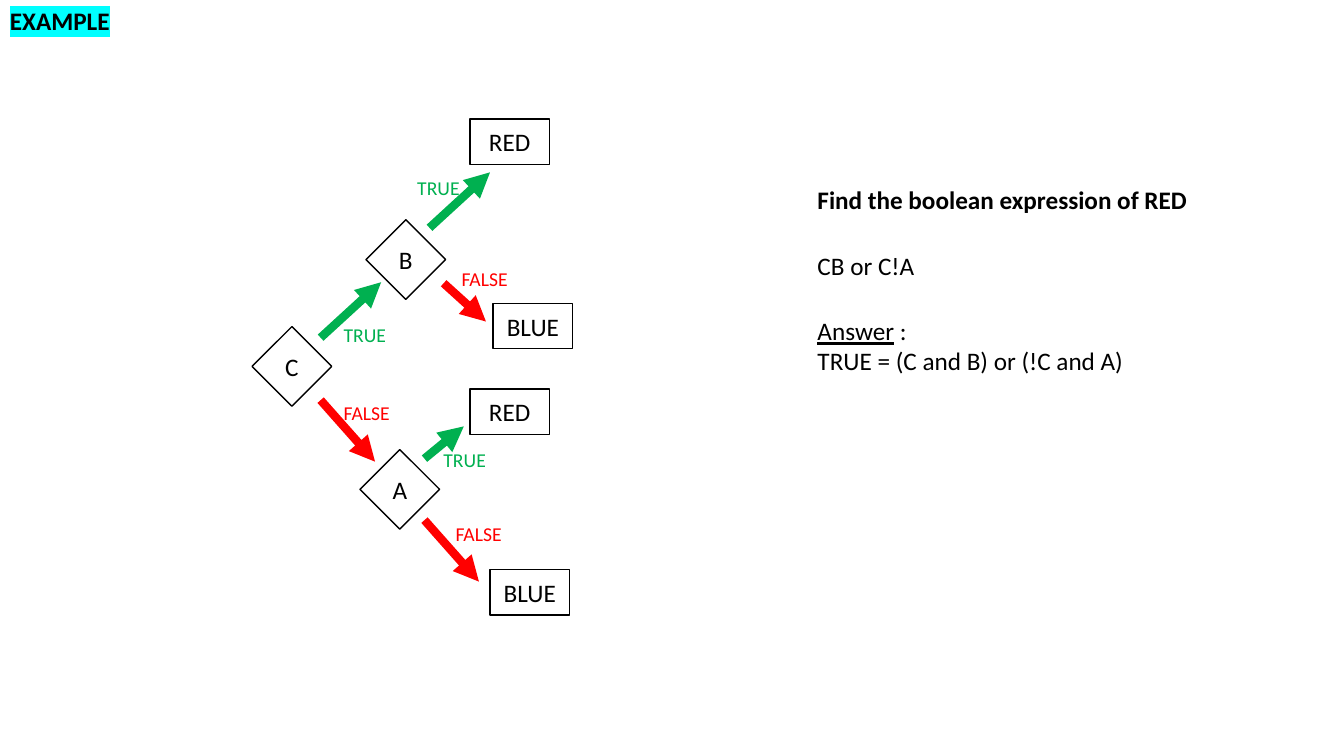
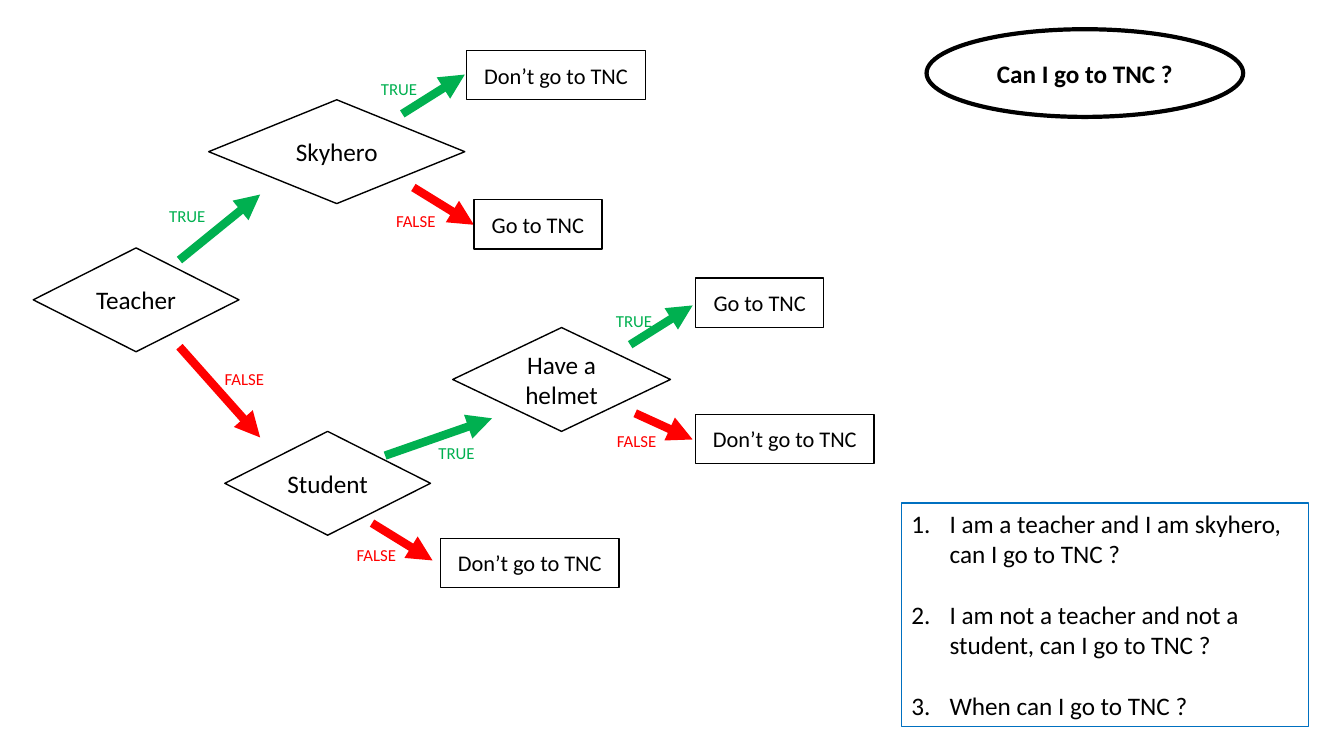
import pptx
import pptx.util
import pptx.dml.color
import pptx.enum.shapes
import pptx.enum.text
import pptx.oxml
import pptx.oxml.ns

PX = 9144
FONT = "Calibri"
BLACK = pptx.dml.color.RGBColor(0, 0, 0)
WHITE = pptx.dml.color.RGBColor(255, 255, 255)
GREEN = pptx.dml.color.RGBColor(0, 176, 80)
RED = pptx.dml.color.RGBColor(255, 0, 0)
BLUE = pptx.dml.color.RGBColor(0, 112, 192)
ANSWER_COLORS = {"TRUE": GREEN, "FALSE": RED}
SHAPES = pptx.enum.shapes.MSO_SHAPE
ALIGN = pptx.enum.text.PP_ALIGN
ANCHOR = pptx.enum.text.MSO_ANCHOR
DRAWING = pptx.oxml.ns.nsdecls("a")


def write_text(box, lines, frame_format, align=ALIGN.LEFT, color=BLACK, size=18, bold=False):
    frame = box.text_frame
    for name, value in frame_format.items():
        setattr(frame, name, value)
    for number, line in enumerate(lines):
        para = frame.add_paragraph() if number else frame.paragraphs[0]
        para.alignment = align
        for text in line:
            span = para.add_run()
            span.text = text
            span.font.color.rgb = color
            font_format = {"name": FONT, "size": pptx.util.Pt(size), "bold": bold}
            for name, value in font_format.items():
                setattr(span.font, name, value)
    return frame.paragraphs


def add_outline(page, kind, place, line_color=BLACK, weight=1):
    box = page.shapes.add_shape(kind, *[length * PX for length in place])
    box.shadow.inherit = False
    box.fill.background()
    box.line.color.rgb = line_color
    box.line.width = pptx.util.Pt(weight)
    return box


CENTERED = {"word_wrap": True, "vertical_anchor": ANCHOR.MIDDLE}
LOOSE = {"word_wrap": False, "auto_size": pptx.enum.text.MSO_AUTO_SIZE.SHAPE_TO_FIT_TEXT}

boolean_tree = {
    "decision": SHAPES.FLOWCHART_DECISION,
    "decision_height": 79,
    "result_height": 45,
    "result_size": 18,
    "label_size": 14,
    "label_height": 34,
    "label_widths": {"TRUE": 63, "FALSE": 66},
    "result_widths": {"RED": 79, "BLUE": 79},
    "decisions": [("C", 250, 324, 79), ("A", 357, 446, 79), ("B", 363, 218, 79)],
    "results": [("BLUE", 486, 565), ("RED", 466, 118), ("BLUE", 489, 301), ("RED", 466, 386)],
    "branches": [
        ("FALSE", (318, 397, 372, 458), (331, 393)),
        ("TRUE", (318, 335, 378, 280), (331, 315)),
        ("FALSE", (440, 281, 482, 319), (448, 260)),
        ("TRUE", (426, 226, 486, 171), (404, 170)),
        ("FALSE", (421, 516, 475, 577), (442, 513)),
        ("TRUE", (421, 455, 460, 423), (430, 439)),
    ],
}
visit_tree = {
    "decision": SHAPES.DIAMOND,
    "decision_height": 103,
    "result_height": 49,
    "result_size": 16,
    "label_size": 12,
    "label_height": 30,
    "label_widths": {"TRUE": 57, "FALSE": 60},
    "result_widths": {"Go to TNC": 127, "Don’t go to TNC": 177},
    "decisions": [
        ("Skyhero", 207, 99, 254),
        ("Teacher", 33, 246, 204),
        ("Student", 223, 428, 204),
        ("Have a helmet", 449, 325, 216),
    ],
    "results": [
        ("Go to TNC", 690, 276),
        ("Don’t go to TNC", 690, 411),
        ("Go to TNC", 470, 198),
        ("Don’t go to TNC", 463, 50),
        ("Don’t go to TNC", 437, 534),
    ],
    "branches": [
        ("FALSE", (178, 344, 258, 434), (213, 361)),
        ("TRUE", (178, 258, 258, 193), (158, 199)),
        ("TRUE", (399, 113, 461, 74), (368, 73)),
        ("TRUE", (382, 452, 488, 415), (425, 434)),
        ("FALSE", (630, 410, 687, 436), (602, 422)),
        ("TRUE", (625, 342, 687, 303), (601, 303)),
        ("FALSE", (410, 186, 470, 223), (383, 204)),
        ("FALSE", (369, 519, 429, 556), (344, 536)),
    ],
}

deck = pptx.Presentation()
deck.slide_width = pptx.util.Emu(1333 * PX)
deck.slide_height = pptx.util.Emu(750 * PX)

pages = []
for tree in (boolean_tree, visit_tree):
    page = deck.slides.add_slide(deck.slide_layouts[6])
    pages.append(page)
    for text, left, top, width in tree["decisions"]:
        box = add_outline(page, tree["decision"], (left, top, width, tree["decision_height"]))
        write_text(box, [[text]], CENTERED, ALIGN.CENTER)
    for answer, ends, _ in tree["branches"]:
        arrow = page.shapes.add_connector(
            pptx.enum.shapes.MSO_CONNECTOR.STRAIGHT, *[end * PX for end in ends]
        )
        arrow.line.color.rgb = ANSWER_COLORS[answer]
        arrow.line.width = pptx.util.Pt(6)
        arrow.line._get_or_add_ln().append(
            pptx.oxml.parse_xml(f'<a:tailEnd {DRAWING} type="triangle"/>')
        )
        arrow._element.spPr.append(pptx.oxml.parse_xml(f"<a:effectLst {DRAWING}/>"))
    for text, left, top in tree["results"]:
        place = (left, top, tree["result_widths"][text], tree["result_height"])
        box = add_outline(page, SHAPES.RECTANGLE, place)
        box.fill.solid()
        box.fill.fore_color.rgb = WHITE
        write_text(box, [[text]], CENTERED, ALIGN.CENTER, size=tree["result_size"])
    for answer, _, (left, top) in tree["branches"]:
        place = (left, top, tree["label_widths"][answer], tree["label_height"])
        box = page.shapes.add_textbox(*[length * PX for length in place])
        write_text(box, [[answer]], LOOSE, color=ANSWER_COLORS[answer], size=tree["label_size"])

boolean_page, visit_page = pages

statements = {
    "heading": ((0, 0, 120, 40), [["EXAMPLE"]], True),
    "task": ((801, 178, 390, 40), [["Find the boolean expression of RED"]], True),
    "attempt": ((801, 243, 117, 40), [["CB or C!A"]], False),
    "answer": (
        (801, 308, 336, 71),
        [["Answer", " :"], ["TRUE = (C and B) or (!C and A)"]],
        False,
    ),
}
written = {}
for name, (place, lines, bold) in statements.items():
    box = boolean_page.shapes.add_textbox(*[length * PX for length in place])
    written[name] = write_text(box, lines, LOOSE, bold=bold)
written["answer"][0].runs[0].font.underline = True
heading_fill = written["heading"][0].runs[0]._r.rPr.find(pptx.oxml.ns.qn("a:solidFill"))
heading_fill.addnext(
    pptx.oxml.parse_xml(f'<a:highlight {DRAWING}><a:srgbClr val="00FFFF"/></a:highlight>')
)

topic = add_outline(visit_page, SHAPES.OVAL, (919, 29, 314, 87), weight=3)
write_text(topic, [["Can I go to TNC ?"]], CENTERED, ALIGN.CENTER, bold=True)

question_box = add_outline(visit_page, SHAPES.RECTANGLE, (894, 499, 404, 222), BLUE, 0.75)
questions = [
    ["I am a teacher and I am skyhero, can I go to TNC ?"],
    ["I am not a teacher and not a student, can I go to TNC ?"],
    ["When can I go to TNC ?"],
]
question_format = {"word_wrap": True, "vertical_anchor": ANCHOR.TOP}
for number, para in enumerate(write_text(question_box, questions, question_format)):
    properties = para._p.get_or_add_pPr()
    properties.set("marL", str(38 * PX))
    properties.set("indent", str(-38 * PX))
    properties.append(pptx.oxml.parse_xml(f'<a:buFont {DRAWING} typeface="+mj-lt"/>'))
    properties.append(pptx.oxml.parse_xml(f'<a:buAutoNum {DRAWING} type="arabicPeriod"/>'))
    if number:
        para.space_before = pptx.util.Pt(22)

deck.save("out.pptx")
